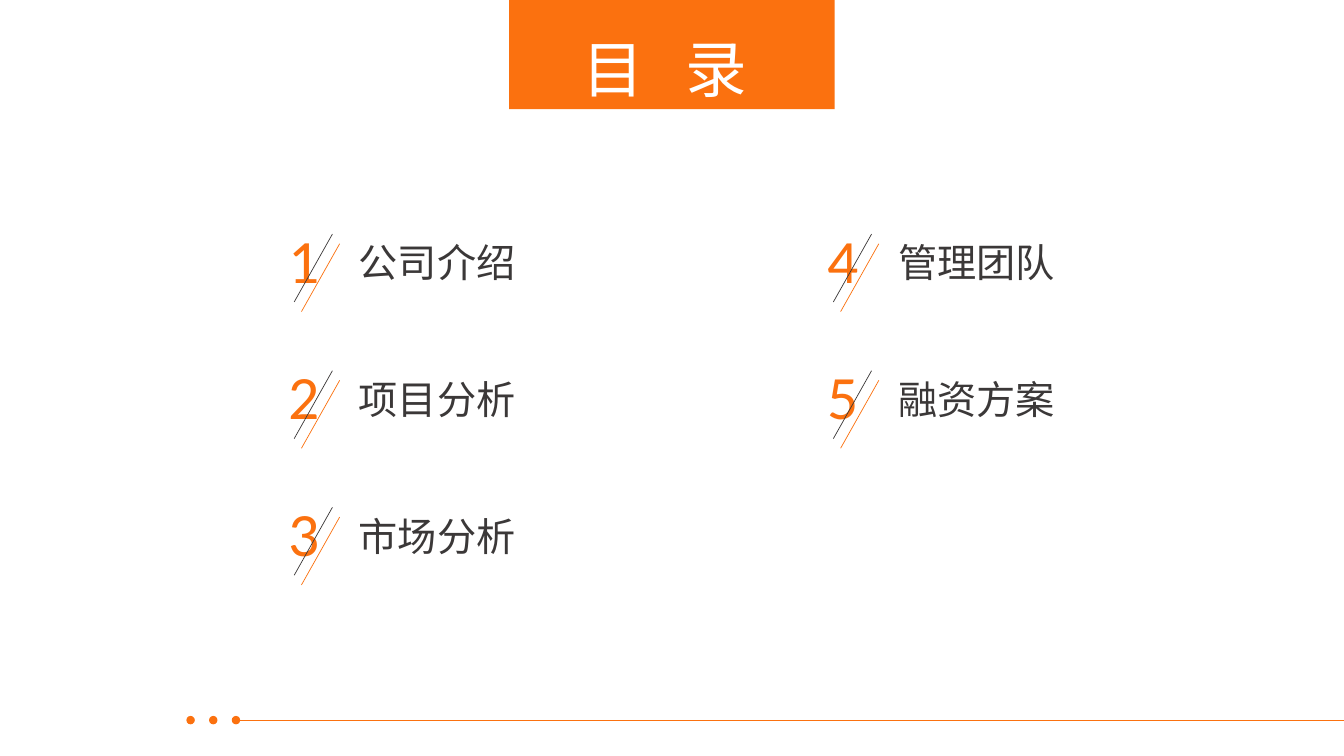
"""Build the contents slide of a business plan."""
import dataclasses

import pptx
import pptx.dml.color
import pptx.enum.shapes
import pptx.enum.text
import pptx.oxml.ns
import pptx.util
from lxml import etree

Pt = pptx.util.Pt


@dataclasses.dataclass(frozen=True)
class Theme:
    """Colours, font and type sizes of the slide."""
    orange: str = "FB710F"
    dark: str = "3B3838"
    white: str = "FFFFFF"
    font: str = "Calibri"
    large: int = 44
    label: int = 28


THEME = Theme()
COLUMNS = [["公司介绍", "项目分析", "市场分析"], ["管理团队", "融资方案"]]
COLUMN_PITCH = 385.2
ROW_PITCH = 97.6


def rgb(colour):
    """Return a colour object for a hex string."""
    return pptx.dml.color.RGBColor.from_string(colour)


def add_run(paragraph, text, size, colour):
    """Add one formatted run to a paragraph."""
    run = paragraph.add_run()
    run.text = text
    run.font.name = THEME.font
    run.font.size = Pt(size)
    run.font.color.rgb = rgb(colour)
    return run


def add_text(slide, left, top, width, height, text, size, colour):
    """Add a one-line text box."""
    box = slide.shapes.add_textbox(Pt(left), Pt(top), Pt(width), Pt(height))
    frame = box.text_frame
    frame.word_wrap = False
    frame.auto_size = pptx.enum.text.MSO_AUTO_SIZE.SHAPE_TO_FIT_TEXT
    add_run(frame.paragraphs[0], text, size, colour)


def add_line(slide, start, end, colour, width):
    """Add a straight line without a shadow."""
    line = slide.shapes.add_connector(
        pptx.enum.shapes.MSO_CONNECTOR.STRAIGHT,
        Pt(start[0]), Pt(start[1]), Pt(end[0]), Pt(end[1]))
    line.line.color.rgb = rgb(colour)
    line.line.width = Pt(width)
    etree.SubElement(line._element.spPr, pptx.oxml.ns.qn("a:effectLst"))


def add_filled_shape(slide, kind, left, top, width, height):
    """Add an orange shape without outline or shadow."""
    shape = slide.shapes.add_shape(kind, Pt(left), Pt(top), Pt(width), Pt(height))
    shape.shadow.inherit = False
    shape.fill.solid()
    shape.fill.fore_color.rgb = rgb(THEME.orange)
    shape.line.fill.background()


def add_footer(slide):
    """Add the bottom line and its three dots."""
    add_line(slide, (169, 514.4), (960, 514.4), THEME.orange, 0.75)
    for index in range(3):
        add_filled_shape(slide, pptx.enum.shapes.MSO_SHAPE.OVAL,
                         133.2 + 16.2 * index, 511.4, 6, 6)


def add_title(slide):
    """Place the title on its orange banner."""
    add_filled_shape(slide, pptx.enum.shapes.MSO_SHAPE.RECTANGLE, 363.8, 0, 232.6, 78)
    title = slide.shapes.title
    title.left, title.top = Pt(61), Pt(-0.7)
    title.width, title.height = Pt(828), Pt(104.4)
    slide.shapes._spTree.append(title._element)
    frame = title.text_frame
    frame.auto_size = pptx.enum.text.MSO_AUTO_SIZE.NONE
    frame.vertical_anchor = pptx.enum.text.MSO_ANCHOR.MIDDLE
    paragraph = frame.paragraphs[0]
    paragraph.alignment = pptx.enum.text.PP_ALIGN.CENTER
    paragraph.line_spacing = 0.9
    add_run(paragraph, "目", THEME.large, THEME.white)
    gap = add_run(paragraph, " ", THEME.large, THEME.white)
    gap._r.get_or_add_rPr().set("spc", "2000")
    add_run(paragraph, "录", THEME.large, THEME.white)


def add_entry(slide, left, top, number, label):
    """Add a numbered entry with its two slanted lines."""
    add_text(slide, left, top, 36.7, 60.5, str(number), THEME.large, THEME.orange)
    add_text(slide, left + 50.6, top + 12.2, 126, 41, label, THEME.label, THEME.dark)
    for shift_x, shift_y, colour in ((0, 0, THEME.dark), (5.2, 6.9, THEME.orange)):
        add_line(slide, (left + 38.8 + shift_x, top + 12.4 + shift_y),
                 (left + 11.5 + shift_x, top + 60.9 + shift_y), colour, 0.5)


def main():
    """Build and save the slide."""
    presentation = pptx.Presentation()
    presentation.slide_width, presentation.slide_height = Pt(960.2), Pt(540)
    slide = presentation.slides.add_slide(presentation.slide_layouts[5])
    add_footer(slide)
    add_title(slide)
    number = 1
    for column, labels in enumerate(COLUMNS):
        for row, label in enumerate(labels):
            add_entry(slide, 198.7 + COLUMN_PITCH * column,
                      154.8 + ROW_PITCH * row, number, label)
            number += 1
    presentation.save("out.pptx")


if __name__ == "__main__":
    main()
